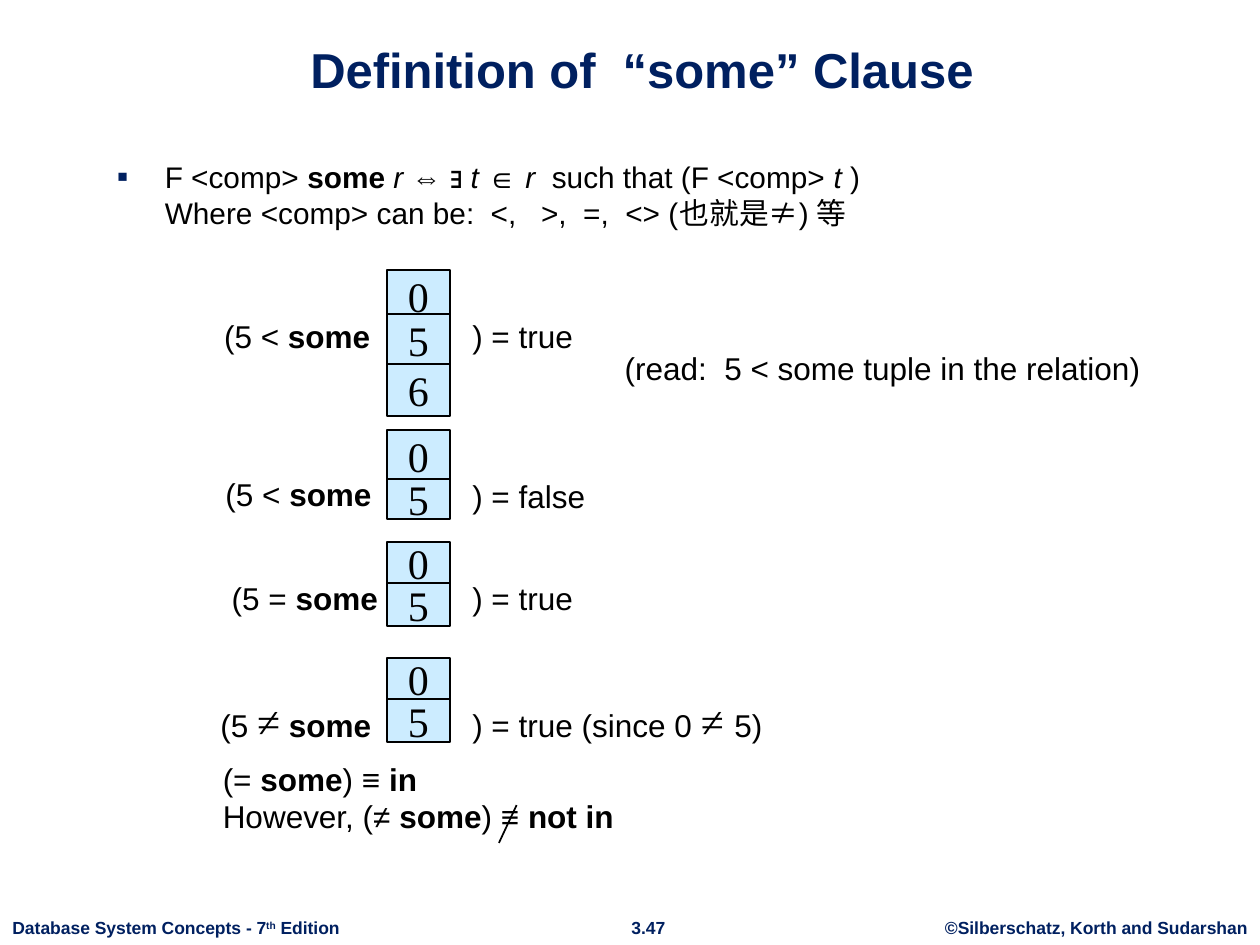
from lxml import etree
from pptx import Presentation
from pptx import util as u
from pptx.dml.color import RGBColor
from pptx.enum import shapes, text
from pptx.oxml.ns import qn

NAVY = RGBColor(0x00, 0x20, 0x60)
BLACK = RGBColor(0x00, 0x00, 0x00)
SKY = RGBColor(0xCC, 0xEC, 0xFF)

WIDTH, HEIGHT = u.Inches(10), u.Inches(7.5)
COLUMN, ROW = WIDTH / 100, HEIGHT / 75

CELL_LEFT, CELL_WIDTH = 30.7, 5
RESULT_LEFT = 36.5


def place(left, top, width, height):
    return (round(left * COLUMN), round(top * ROW),
            round(width * COLUMN), round(height * ROW))


def add_runs(paragraph, runs, size, color=BLACK):
    for content, style in runs:
        run = paragraph.add_run()
        run.text = content
        font = run.font
        symbol = style == "symbol"
        font.name = "Times New Roman" if symbol else "Arial"
        font.size = u.Pt(24 if symbol else size)
        font.color.rgb = color
        font.bold = "bold" in style
        font.italic = style == "italic"
        if style == "bold super":
            run._r.get_or_add_rPr().set("baseline", "30000")


def add_text(slide, box, lines, size=18, color=BLACK, align=text.PP_ALIGN.LEFT, wrap=True):
    frame = slide.shapes.add_textbox(*place(*box)).text_frame
    frame.word_wrap = wrap
    for index, runs in enumerate(lines):
        paragraph = frame.add_paragraph() if index else frame.paragraphs[0]
        paragraph.alignment = align
        add_runs(paragraph, runs, size, color)


def add_title(slide, content):
    title = slide.shapes.title
    title.left, title.top, title.width, title.height = place(6.8, 1.6, 88.3, 6.7)
    frame = title.text_frame
    frame.auto_size = text.MSO_AUTO_SIZE.NONE
    frame.vertical_anchor = text.MSO_ANCHOR.BOTTOM
    paragraph = frame.paragraphs[0]
    paragraph.alignment = text.PP_ALIGN.CENTER
    add_runs(paragraph, [(content, "bold")], 28, NAVY)


def add_definition(slide):
    frame = slide.shapes.add_textbox(*place(8.3, 12.1, 74.4, 7.8)).text_frame
    frame.word_wrap = True
    paragraph = frame.paragraphs[0]
    add_runs(paragraph, [
        ("F <comp> ", ""), ("some ", "bold"), ("r ", "italic"), ("⇔ ∃ ", ""),
        ("t ", "italic"), ("∈", ""), (" r  ", "italic"),
        ("such that (F <comp> ", ""), ("t ", "italic"), (")", ""),
    ], 17)
    paragraph.add_line_break()
    add_runs(paragraph, [("Where <comp> can be:  <,   >,  =,  <> (也就是≠) 等", "")], 17)
    properties = paragraph._p.get_or_add_pPr()
    indent = round(3.8 * COLUMN)
    properties.set("marL", str(indent))
    properties.set("indent", str(-indent))
    color = etree.SubElement(properties, qn("a:buClr"))
    etree.SubElement(color, qn("a:srgbClr"), val=str(NAVY))
    etree.SubElement(properties, qn("a:buSzPct"), val="110000")
    etree.SubElement(properties, qn("a:buFont"), typeface="Arial")
    etree.SubElement(properties, qn("a:buChar"), char="▪")


def add_cell(slide, value, top, height):
    cell = slide.shapes.add_shape(
        shapes.MSO_SHAPE.RECTANGLE, *place(CELL_LEFT, top, CELL_WIDTH, height))
    cell.shadow.inherit = False
    cell.fill.solid()
    cell.fill.fore_color.rgb = SKY
    cell.line.color.rgb = BLACK
    cell.line.width = u.Pt(1)
    frame = cell.text_frame
    frame.word_wrap = False
    frame.vertical_anchor = text.MSO_ANCHOR.MIDDLE
    paragraph = frame.paragraphs[0]
    paragraph.alignment = text.PP_ALIGN.CENTER
    add_runs(paragraph, [(value, "symbol")], 24)


def add_example(slide, cells, left, top, condition, result_top, result):
    for value, cell_top, height in cells:
        add_cell(slide, value, cell_top, height)
    add_text(slide, (left, top, 16.5, 4), [condition + [("some", "bold")]])
    add_text(slide, (RESULT_LEFT, result_top, 27.5, 4), [result])


def add_stroke(slide, start, end):
    line = slide.shapes.add_connector(
        shapes.MSO_CONNECTOR.STRAIGHT, *place(*start, *end))
    line.line.color.rgb = BLACK
    line.line.width = u.Pt(1)
    etree.SubElement(line._element.spPr, qn("a:effectLst"))


def add_footer(slide):
    center = text.PP_ALIGN.CENTER
    footers = [
        (0, 28.1, text.PP_ALIGN.LEFT,
         [("Database System Concepts - 7", "bold"), ("th", "bold super"), (" Edition", "bold")]),
        (49, 4.9, center, [("3.47", "bold")]),
        (74, 26, center, [("©Silberschatz, Korth and Sudarshan", "bold")]),
    ]
    for left, width, align, runs in footers:
        add_text(slide, (left, 72.3, width, 2.7), [runs], 10, NAVY, align, False)


def main():
    presentation = Presentation()
    presentation.slide_width, presentation.slide_height = WIDTH, HEIGHT
    slide = presentation.slides.add_slide(presentation.slide_layouts[5])
    add_footer(slide)
    add_title(slide, "Definition of  “some” Clause")
    add_definition(slide)

    less, equal = [("(5 < ", "")], [("(5 = ", "")]
    unequal = [("(5 ", ""), ("≠", "symbol"), (" ", "")]
    since = [(") = true (since 0 ", ""), ("≠ ", "symbol"), ("5)", "")]
    examples = [
        ([("0", 21.4, 4.1), ("5", 24.9, 4.1), ("6", 28.9, 4.1)],
         16.8, 24.7, less, 24.7, [(") = true", "")]),
        ([("0", 34.1, 4.2), ("5", 38, 3.2)],
         16.9, 37.2, less, 37.4, [(") = false", "")]),
        ([("0", 43, 3.4), ("5", 46.3, 3.4)],
         17.4, 45.5, equal, 45.5, [(") = true", "")]),
        ([("0", 52.2, 3.4), ("5", 55.5, 3.4)],
         16.5, 54.7, unequal, 54.7, since),
    ]
    for example in examples:
        add_example(slide, *example)

    add_text(slide, (48.6, 27.2, 51, 4), [[("(read:  5 < some tuple in the relation)", "")]])
    add_text(slide, (16.7, 59.8, 74.4, 7.8), [
        [("(= ", ""), ("some", "bold"), (") ≡ ", ""), ("in", "bold")],
        [("However, (≠ ", ""), ("some", "bold"), (") ≡ ", ""), ("not in", "bold")],
    ])
    add_stroke(slide, (41, 63.9), (39.6, 66.9))
    presentation.save("out.pptx")


if __name__ == "__main__":
    main()
